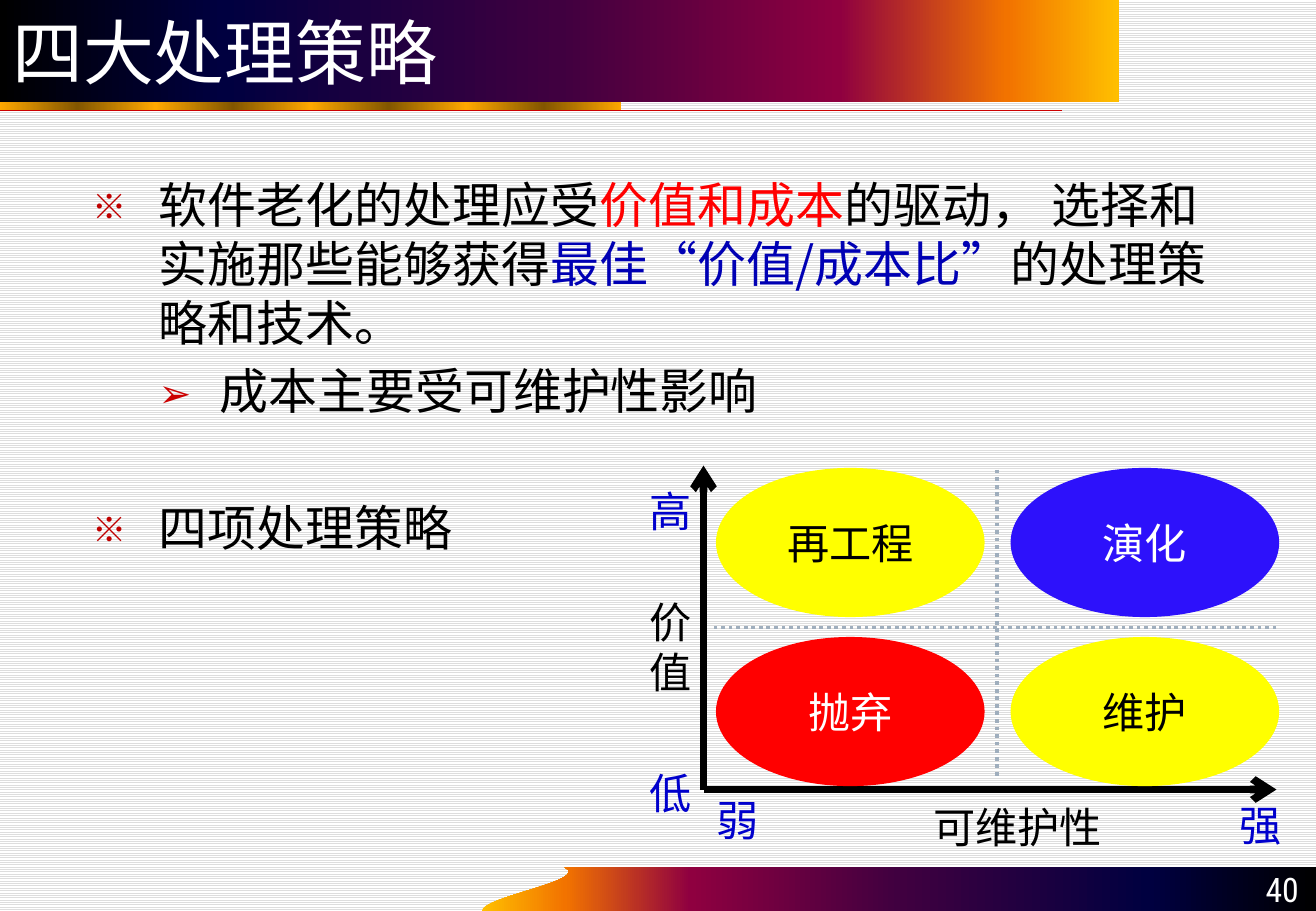
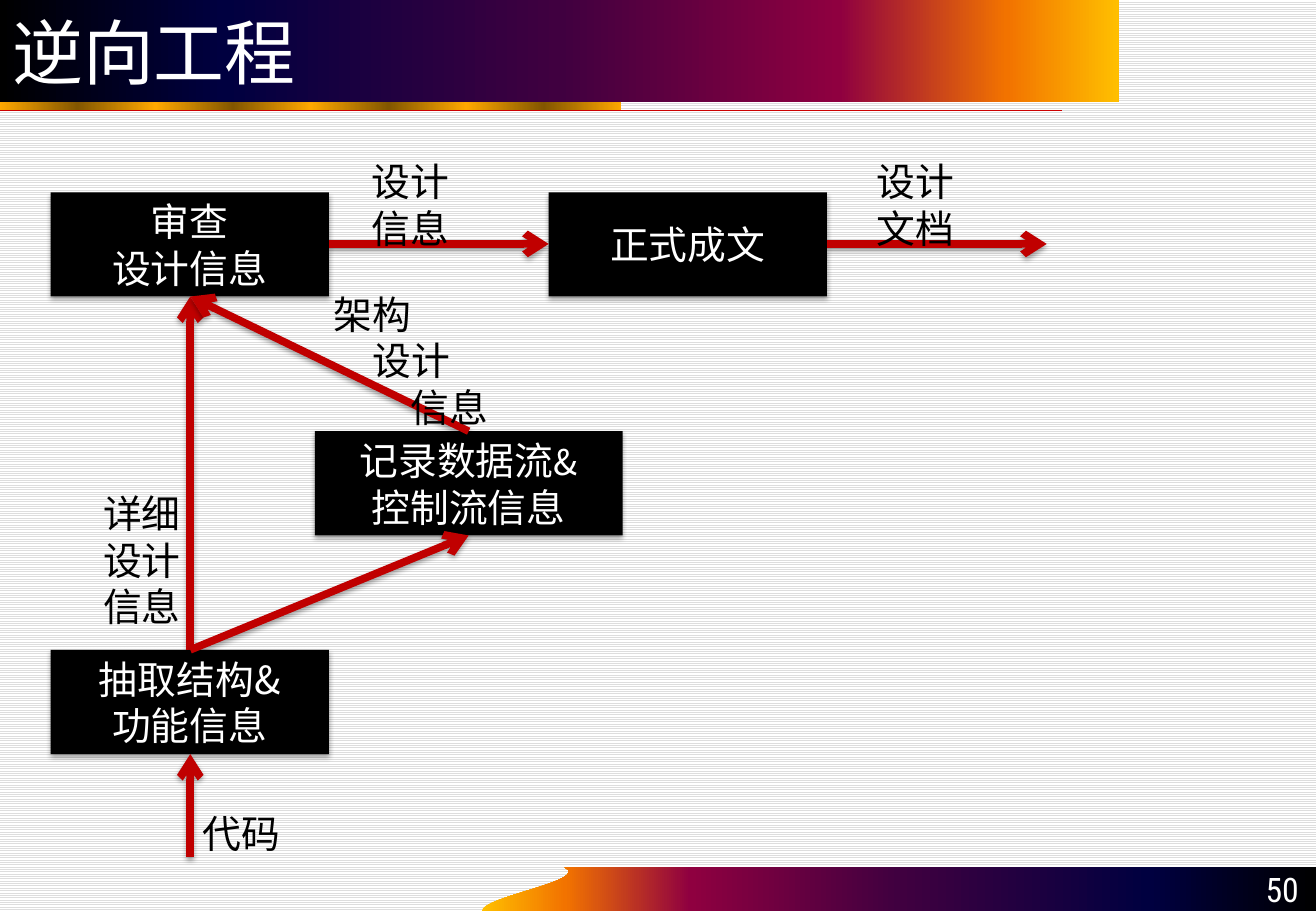
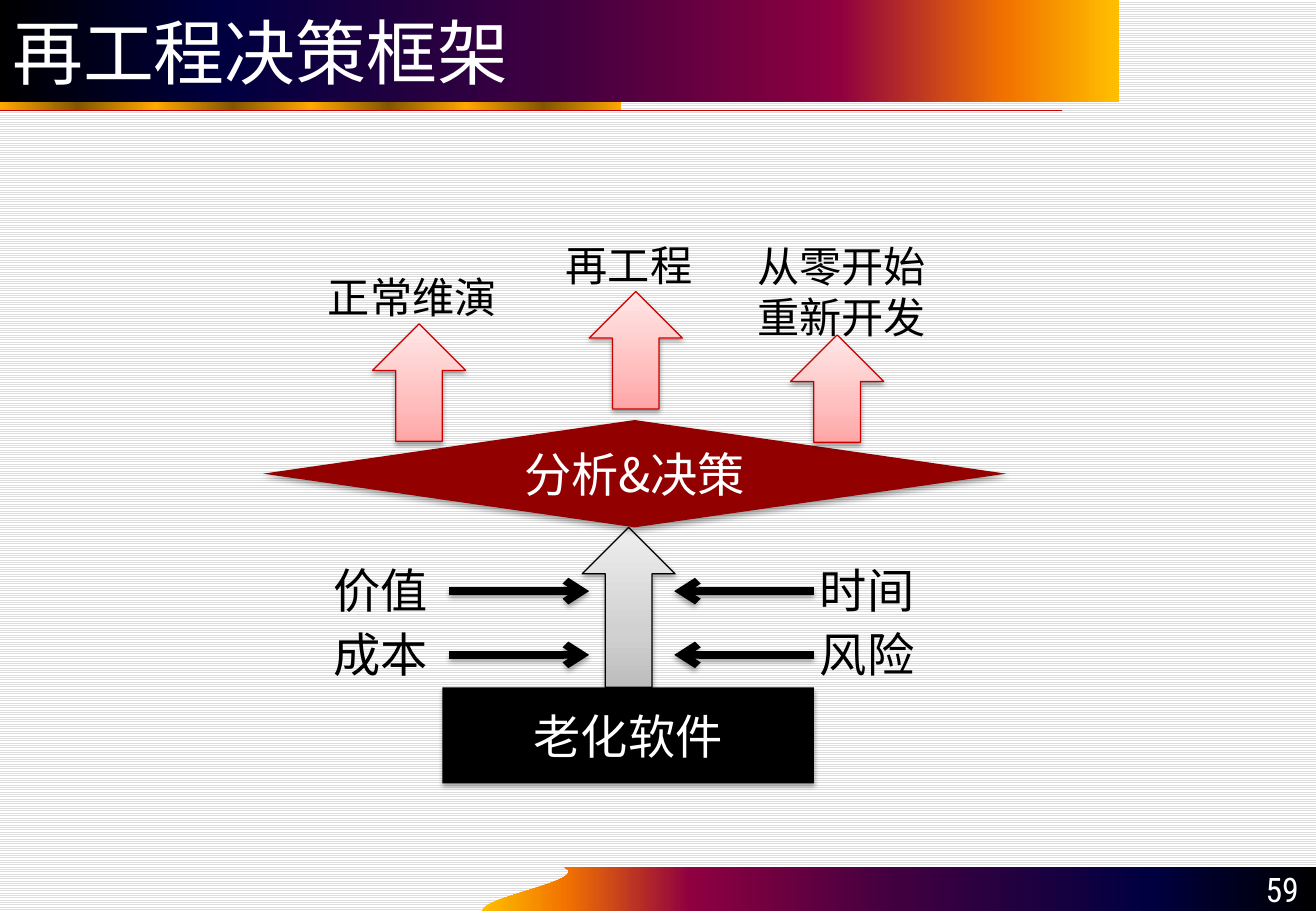
"""Build three slides on strategies for ageing software and reengineering."""
from dataclasses import dataclass

from lxml.etree import SubElement
from pptx import Presentation
from pptx.dml.color import RGBColor as RGB
from pptx.enum.dml import MSO_LINE as DASH, MSO_PATTERN as PATTERN
from pptx.enum.lang import MSO_LANGUAGE_ID as LANGUAGE
from pptx.enum.shapes import MSO_CONNECTOR as CONNECTOR, MSO_SHAPE as SHAPE
from pptx.enum.text import MSO_ANCHOR as ANCHOR, MSO_AUTO_SIZE as AUTO_SIZE, PP_ALIGN as ALIGN
from pptx.oxml.ns import qn
from pptx.util import Inches, Pt


@dataclass(frozen=True)
class Theme:
    black: str = "000000"
    white: str = "FFFFFF"
    yellow: str = "FFFF00"
    blue: str = "2D11FB"
    red: str = "FF0000"
    crimson: str = "C00000"
    rule: str = "CC0000"
    decision: str = "920000"
    phrase: str = "0000B4"
    scale: str = "0000CC"
    divider: str = "9FAEBD"
    texture: str = "DDDDDD"
    outcome_edge: str = "C80000"
    sunset: tuple = ((0, "000000"), (20, "000040"), (50, "400040"),
                     (75, "8F0040"), (90, "F27300"), (100, "FFBF00"))
    gold: tuple = tuple((i * 12.5, ("FFA800", "825600")[i % 2]) for i in range(9))
    grey_fade: tuple = ((0, "BDBDBD"), (35, "D1D1D1"), (100, "EEEEEE"))
    pink_fade: tuple = ((0, "FFA5A5"), (35, "FFBFBF"), (100, "FFE7E7"))
    text_font: str = "Noto Sans CJK SC"
    title_font: str = "DejaVu Sans"
    number_font: str = "Roboto Condensed"
    title: int = 42
    body: int = 29
    factor: int = 28
    label: int = 25
    flow: int = 23
    ampersand: int = 21
    number: int = 20
    arrow: float = 4.5
    leading: float = 1.2


T = Theme()
COLUMNS, ROWS = 130, 90
CELL = Inches(7.5) / ROWS


def draw(slide, form, cells, fill=None, angle=0, line=None, weight=0.75,
         dash=None, arrow=False, shadow=False):
    spots = [round(cell * CELL) for cell in cells]
    if form == "label":
        return slide.shapes.add_textbox(*spots)
    if form == "line":
        part = slide.shapes.add_connector(CONNECTOR.STRAIGHT, *spots)
    elif form == "outline":
        corners = list(zip(spots[::2], spots[1::2]))
        builder = slide.shapes.build_freeform(*corners[0])
        builder.add_line_segments(corners[1:], close=True)
        part = builder.convert_to_shape()
    else:
        part = slide.shapes.add_shape(form, *spots)
    look = part.element.spPr
    if isinstance(fill, str):
        part.fill.solid()
        part.fill.fore_color.rgb = RGB.from_string(fill)
    elif fill:
        part.fill.gradient()
        gradient = look.find(qn("a:gradFill"))
        for child in list(gradient):
            gradient.remove(child)
        stops = SubElement(gradient, qn("a:gsLst"))
        for share, color in fill:
            stop = SubElement(stops, qn("a:gs"), pos=str(round(share * 1000)))
            SubElement(stop, qn("a:srgbClr"), val=color)
        SubElement(gradient, qn("a:lin"), ang=str(angle * 60000), scaled="0")
    if line:
        part.line.color.rgb = RGB.from_string(line)
        part.line.width = Pt(weight)
        if dash:
            part.line.dash_style = dash
        if arrow:
            SubElement(look.find(qn("a:ln")), qn("a:tailEnd"), type="arrow")
    else:
        part.line.fill.background()
    effects = SubElement(look, qn("a:effectLst"))
    if shadow:
        cast = SubElement(effects, qn("a:outerShdw"), blurRad=str(Pt(3.1)), dist=str(Pt(1.8)),
                          dir="5400000", algn="ctr", rotWithShape="0")
        tint = SubElement(cast, qn("a:srgbClr"), val=T.black)
        SubElement(tint, qn("a:alpha"), val="35000")
    return part


def write(part, *paragraphs, size, color=T.black, font=T.text_font, align=ALIGN.LEFT,
          anchor=ANCHOR.TOP, wrap=False, inset=(1.2, 0.6)):
    frame = part.text_frame
    frame.auto_size = AUTO_SIZE.NONE
    frame.word_wrap = wrap
    frame.vertical_anchor = anchor
    frame.margin_left = frame.margin_right = round(inset[0] * CELL)
    frame.margin_top = frame.margin_bottom = round(inset[1] * CELL)
    for index, content in enumerate(paragraphs):
        paragraph = frame.add_paragraph() if index else frame.paragraphs[0]
        paragraph.alignment = align
        paragraph.line_spacing = Pt(size * T.leading)
        runs = [(content, color)] if isinstance(content, str) else content
        for words, tint, *points in runs:
            run = paragraph.add_run()
            run.text = words
            run.font.size = Pt(points[0] if points else size)
            run.font.color.rgb = RGB.from_string(tint)
            run.font.name = font
            run.font.language_id = LANGUAGE.SIMPLIFIED_CHINESE
            SubElement(run.font._element, qn("a:ea"), typeface=T.text_font)
    return frame


deck = Presentation()
deck.slide_width, deck.slide_height = round(COLUMNS * CELL), round(ROWS * CELL)
layout = deck.slide_layouts[5]
for spare in list(layout.placeholders):
    if spare.placeholder_format.idx:
        layout.shapes.element.remove(spare.element)
backdrop = layout.background.fill
backdrop.patterned()
backdrop.pattern = PATTERN.LIGHT_HORIZONTAL
backdrop.fore_color.rgb = RGB.from_string(T.texture)
backdrop.back_color.rgb = RGB.from_string(T.white)

slides = []
for heading, number in (("四大处理策略", "40"), ("逆向工程", "50"), ("再工程决策框架", "59")):
    slide = deck.slides.add_slide(layout)
    slides.append(slide)
    if len(slides) == 1:
        wave = []
        for step in range(17):
            t = step / 16
            weights = ((1 - t) ** 3, 3 * t * (1 - t) ** 2, 3 * t * t * (1 - t), t ** 3)
            for stations in ((47.6, 47.6, 58.4, 55.8), (90, 88.6, 87, 85.7)):
                wave.append(sum(w * s for w, s in zip(weights, stations)))
        footer_fade = [(100 - share, color) for share, color in reversed(T.sunset)]
        bands = (
            draw(slide, "outline", [*wave, COLUMNS, 85.7, COLUMNS, ROWS], fill=footer_fade),
            draw(slide, SHAPE.RECTANGLE, (0, 9.1, 61.4, 1.9), fill=T.gold),
            draw(slide, "line", (0, 10.95, 104.9, 10.95), line=T.rule),
            draw(slide, SHAPE.RECTANGLE, (0, 0, 110.5, 10.1), fill=T.sunset),
        )
        for depth, band in enumerate(bands, start=2):
            layout.shapes.element.insert(depth, band.element)
    title = slide.shapes.title
    title.left, title.top, title.width, title.height = (
        round(cell * CELL) for cell in (0, 0, 110.5, 10.1))
    write(title, heading, size=T.title, color=T.white, font=T.title_font,
          anchor=ANCHOR.MIDDLE, wrap=True)
    write(draw(slide, "label", (118, 85.6, 11.5, 4.8)), number, size=T.number, color=T.white,
          font=T.number_font, align=ALIGN.RIGHT, anchor=ANCHOR.BOTTOM, wrap=True)

strategies, reverse, decision = slides
centred = dict(align=ALIGN.CENTER, anchor=ANCHOR.MIDDLE, wrap=True)

points = write(
    draw(strategies, "label", (8, 16.7, 113.8, 40.6)),
    [("软件老化的处理应受", T.black), ("价值和成本", T.red),
     ("的驱动， 选择和实施那些能够获得", T.black), ("最佳“价值/成本比”", T.phrase),
     ("的处理策略和技术。", T.black)],
    "成本主要受可维护性影响", "四项处理策略", size=T.body, wrap=True)
top_bullet = (6.5, 6.5, "※", T.crimson, 70)
sub_bullet = (12.5, 6, "➢", T.rule, 80)
for point, gap, (margin, hang, mark, tint, share) in zip(
        points.paragraphs, (0, 5.8, 46.4), (top_bullet, sub_bullet, top_bullet)):
    point.space_before = Pt(gap)
    settings = point._p.get_or_add_pPr()
    settings.set("marL", str(round(margin * CELL)))
    settings.set("indent", str(round(-hang * CELL)))
    SubElement(SubElement(settings, qn("a:buClr")), qn("a:srgbClr"), val=tint)
    SubElement(settings, qn("a:buSzPct"), val=str(share * 1000))
    SubElement(settings, qn("a:buFont"), typeface=T.text_font)
    SubElement(settings, qn("a:buChar"), char=mark)

for axis in ((69.5, 78, 69.5, 46), (69.5, 78, 126.1, 78)):
    draw(strategies, "line", axis, line=T.black, weight=T.arrow, arrow=True)
for divider in ((98.5, 46.4, 98.5, 76.9), (126.1, 62, 70.2, 62)):
    draw(strategies, "line", divider, line=T.divider, weight=2.25, dash=DASH.ROUND_DOT)
quadrants = (("再工程", T.yellow, T.black), ("演化", T.blue, T.white),
             ("抛弃", T.red, T.white), ("维护", T.yellow, T.black))
for index, (strategy, color, ink) in enumerate(quadrants):
    row, column = divmod(index, 2)
    oval = draw(strategies, SHAPE.OVAL, (70.9 + 29.1 * column, 46.4 + 16.7 * row, 26.2, 14.4),
                fill=color, line=color, weight=2)
    write(oval, strategy, size=T.label, color=ink, **centred)
for caption, box, ink in (
        (["可维护性"], (91, 78.6, 19.2, 6.2), T.black),
        (["价", "值"], (63, 58.3, 6.6, 11.3), T.black),
        (["弱"], (69.6, 77.9, 6.6, 6.2), T.scale),
        (["低"], (63, 75.2, 6.6, 6.2), T.scale),
        (["强"], (121.3, 78.4, 6.6, 6.2), T.scale),
        (["高"], (63, 47.4, 6.6, 6.2), T.scale)):
    write(draw(strategies, "label", box), *caption, size=T.label, color=ink)

for step, left, top, width in (
        (["审查", "设计信息"], 5, 19, 27.5),
        (["抽取结构&", "功能信息"], 5, 64.2, 27.5),
        (["正式成文"], 54.2, 19, 27.5),
        ([[("记录数据流", T.white), ("&", T.white, T.ampersand)], "控制流信息"],
         31.1, 42.6, 30.4)):
    box = draw(reverse, SHAPE.RECTANGLE, (left, top, width, 10.3), fill=T.black, shadow=True)
    write(box, *step, size=T.flow, color=T.white, **centred)
for flow in ((18.8, 84.7, 18.8, 74.5), (18.8, 64.2, 18.8, 29.3), (18.8, 64.2, 46.3, 52.9),
             (46.3, 42.6, 18.8, 29.3), (32.5, 24.1, 54.2, 24.1), (81.7, 24.1, 103.4, 24.1)):
    draw(reverse, "line", flow, line=T.crimson, weight=T.arrow, arrow=True, shadow=True)
for caption, box, slant in (
        (["架构", "设计", "信息"], (31.8, 28.1, 27, 15.1), 3.8),
        (["详细", "设计", "信息"], (9, 47.8, 10.2, 15.1), 0),
        (["设计", "信息"], (35.5, 15, 10.2, 10.6), 0),
        (["设计", "文档"], (85.4, 15, 10.2, 10.6), 0),
        (["代码"], (18.8, 79.4, 10.2, 5.9), 0)):
    lines = write(draw(reverse, "label", box), *caption, size=T.flow, wrap=bool(slant))
    for index, line in enumerate(lines.paragraphs):
        line._p.get_or_add_pPr().set("marL", str(round(index * slant * CELL)))

tight = (0.5, 0.25)
software = draw(decision, SHAPE.RECTANGLE, (43.7, 67.9, 36.7, 9.5), fill=T.black, shadow=True)
write(software, "老化软件", size=T.factor, color=T.white, inset=tight, **centred)
draw(decision, SHAPE.UP_ARROW, (57.5, 52.1, 9.2, 15.8), fill=T.grey_fade, angle=270,
     line=T.black, shadow=True)
analysis = draw(decision, SHAPE.FLOWCHART_DECISION, (26, 41.5, 73.4, 10.6), fill=T.decision,
                shadow=True)
write(analysis, "分析&决策", size=T.factor, color=T.white, inset=tight, **centred)
for level, factors in ((58.4, ("价值", "时间")), (64.7, ("成本", "风险"))):
    for factor, left, start, end in zip(factors, (32.4, 80.5), (44.4, 80.4), (58.2, 66.6)):
        draw(decision, "line", (start, level, end, level), line=T.black, weight=T.arrow,
             arrow=True, shadow=True)
        write(draw(decision, "label", (left, level - 3.2, 10.4, 6.1)), factor,
              size=T.factor, inset=tight)
for outcome, box, left, top, height in (
        (["正常维演"], (31.9, 26.6, 17.9, 5.5), 36.8, 32, 11.6),
        (["再工程"], (55.4, 23.4, 13.7, 5.5), 58.2, 28.8, 11.6),
        (["从零开始", "重新开发"], (74.3, 23.5, 17.9, 10.6), 78.1, 33.1, 10.6)):
    draw(decision, SHAPE.UP_ARROW, (left, top, 9.2, height), fill=T.pink_fade, angle=270,
         line=T.outcome_edge, shadow=True)
    write(draw(decision, "label", box), *outcome, size=T.label, inset=tight)

deck.save("out.pptx")
